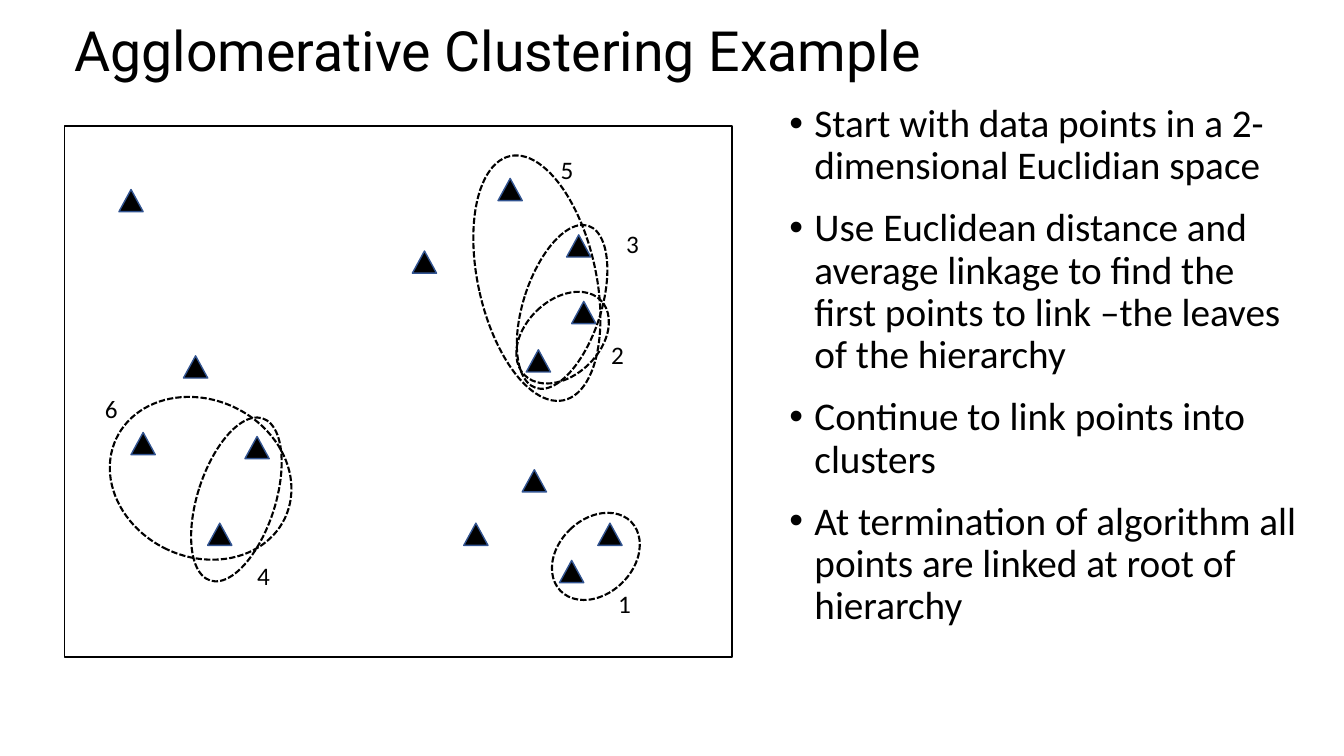
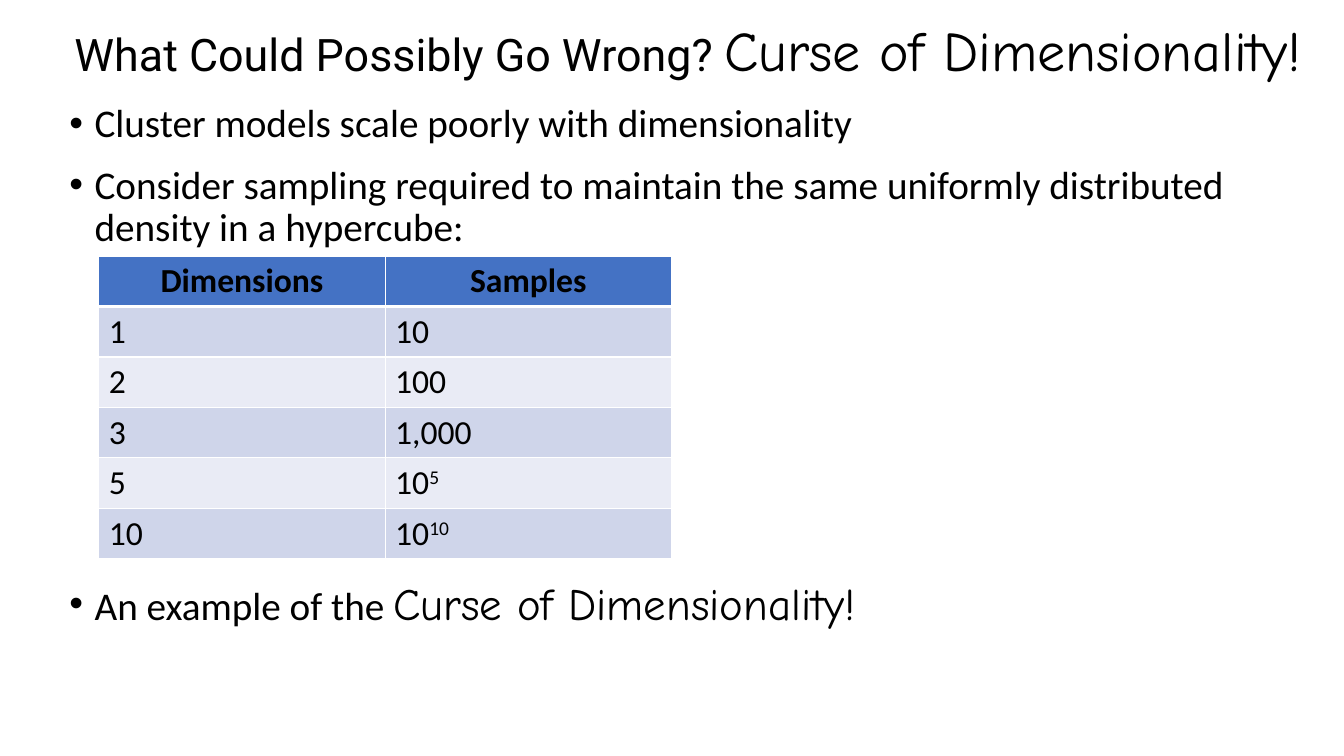
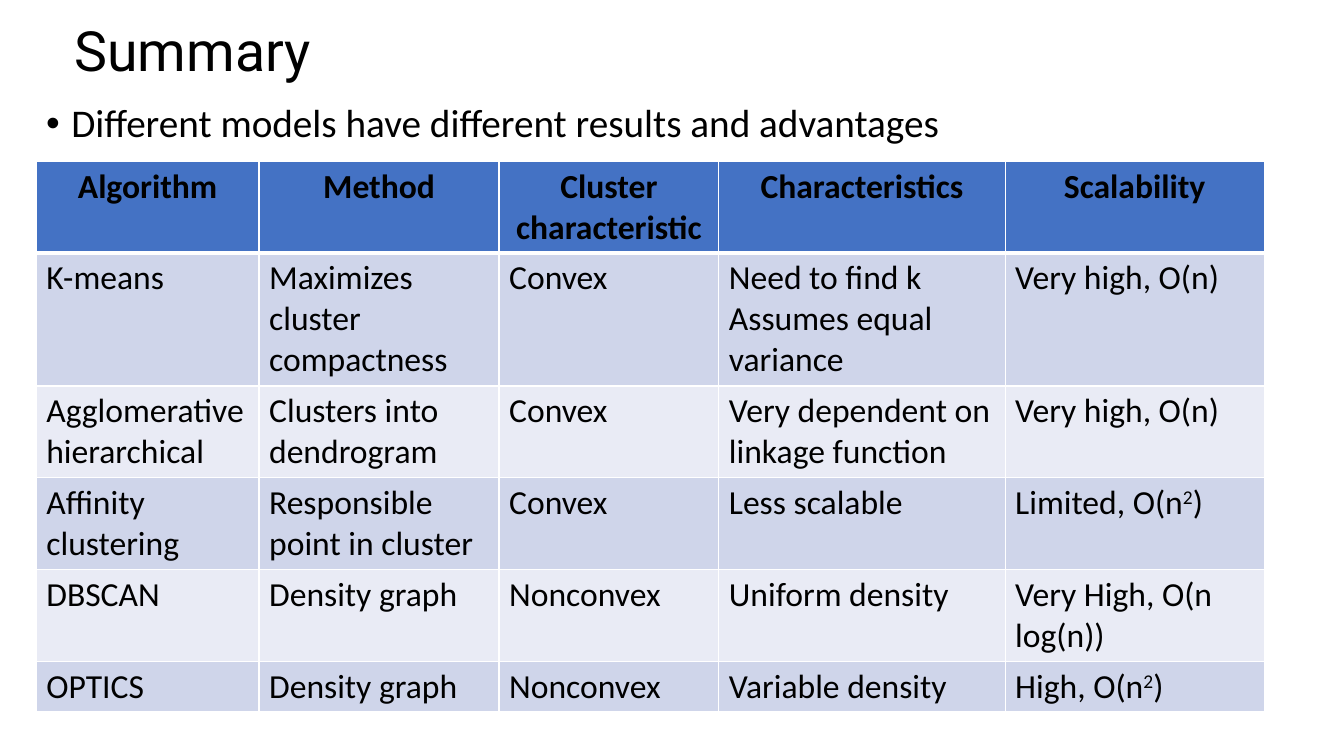
from lxml.etree import SubElement
from pptx import Presentation
from pptx.dml.color import RGBColor
from pptx.enum.dml import MSO_LINE
from pptx.enum.shapes import MSO_SHAPE
from pptx.enum.text import MSO_ANCHOR, PP_ALIGN
from pptx.oxml import parse_xml
from pptx.oxml.ns import nsdecls, qn
from pptx.util import Inches, Pt

BLACK = RGBColor(0x00, 0x00, 0x00)
MARKER_EDGE = RGBColor(0x32, 0x54, 0x91)
HEADER_BLUE = RGBColor(0x44, 0x72, 0xC4)
BAND_DARK = RGBColor(0xCF, 0xD5, 0xEA)
BAND_LIGHT = RGBColor(0xE9, 0xEB, 0xF5)

TITLE_FONT = "Roboto"
BODY_FONT = "Calibri"
ACCENT_FONT = "Comic Neue"
TITLE_SIZE = 39.6
BODY_SIZE = 28
TABLE_SIZE = 24


def add_run(paragraph, text, size, font_name=BODY_FONT, bold=False, superscript=False):
    run = paragraph.add_run()
    run.text = text
    run.font.name = font_name
    run.font.size = Pt(size)
    run.font.bold = bold
    run.font.color.rgb = BLACK
    if superscript:
        run.font._element.set("baseline", "30000")


def add_banded_table(slide, left, top, column_widths, line_counts, rows):
    """Add a table; a newline starts a paragraph, text between carets is raised."""
    row_heights = [0.1 + 0.41 * lines for lines in line_counts]
    table = slide.shapes.add_table(
        len(rows), len(column_widths), Inches(left), Inches(top),
        Inches(sum(column_widths)), Inches(sum(row_heights))).table
    for column, width in zip(table.columns, column_widths):
        column.width = Inches(width)
    for row_index, values in enumerate(rows):
        is_header = row_index == 0
        # The frame is slightly taller than the text, which sets the final height.
        table.rows[row_index].height = Inches(row_heights[row_index] - 0.01)
        for column_index, value in enumerate(values):
            cell = table.cell(row_index, column_index)
            cell.fill.solid()
            band = BAND_DARK if row_index % 2 else BAND_LIGHT
            cell.fill.fore_color.rgb = HEADER_BLUE if is_header else band

            properties = cell._tc.get_or_add_tcPr()
            for position, side in enumerate(("lnL", "lnR", "lnT", "lnB")):
                thick = (is_header and side == "lnB") or (row_index == 1 and side == "lnT")
                properties.insert(position, parse_xml(
                    f'<a:{side} {nsdecls("a")} w="{Pt(3 if thick else 1)}"><a:solidFill>'
                    f'<a:srgbClr val="FFFFFF"/></a:solidFill></a:{side}>'))

            for line_index, line in enumerate(value.split("\n")):
                frame = cell.text_frame
                paragraph = frame.add_paragraph() if line_index else frame.paragraphs[0]
                paragraph.alignment = PP_ALIGN.CENTER if is_header else PP_ALIGN.LEFT
                for part_index, part in enumerate(line.split("^")):
                    if part:
                        add_run(paragraph, part, TABLE_SIZE, bold=is_header,
                                superscript=part_index % 2 == 1)


presentation = Presentation()
presentation.slide_width = Inches(13.33)
presentation.slide_height = Inches(7.5)

# Each slide: title width, title runs, then bullet boxes (left, top, width, height, bullets).
# A run is (text, size, font).
slide_texts = [
    (11.5, [("Agglomerative Clustering Example", TITLE_SIZE, TITLE_FONT)], [
        (7.73, 0.98, 5.24, 6.13, [
            [("Start with data points in a 2-dimensional Euclidian space", BODY_SIZE, BODY_FONT)],
            [("Use Euclidean distance and average linkage to find the first points "
              "to link –the leaves of the hierarchy", BODY_SIZE, BODY_FONT)],
            [("Continue to link points into clusters", BODY_SIZE, BODY_FONT)],
            [("At termination of algorithm all points are linked at root of hierarchy",
              BODY_SIZE, BODY_FONT)],
        ]),
    ]),
    (12.47, [("What Could Possibly Go Wrong? ", 32, TITLE_FONT),
             ("Curse of Dimensionality!", 40, ACCENT_FONT)], [
        (0.59, 0.98, 12.38, 1.5, [
            [("Cluster models scale poorly with dimensionality", BODY_SIZE, BODY_FONT)],
            [("Consider sampling required to maintain the same uniformly distributed "
              "density in a hypercube:", BODY_SIZE, BODY_FONT)],
        ]),
        (0.59, 5.72, 12.38, 0.6, [
            [("An example of the ", BODY_SIZE, BODY_FONT),
             ("Curse of Dimensionality!", 32, ACCENT_FONT)],
        ]),
    ]),
    (11.5, [("Summary", TITLE_SIZE, TITLE_FONT)], [
        (0.36, 0.98, 12.6, 0.75, [
            [("Different models have different results and advantages", BODY_SIZE, BODY_FONT)],
        ]),
    ]),
]

slides = []
for title_width, title_runs, bullet_boxes in slide_texts:
    slide = presentation.slides.add_slide(presentation.slide_layouts[6])
    slides.append(slide)
    title = slide.shapes.add_textbox(Inches(0.64), Inches(0.24), Inches(title_width), Inches(0.58))
    title.text_frame.word_wrap = True
    title.text_frame.vertical_anchor = MSO_ANCHOR.MIDDLE
    paragraph = title.text_frame.paragraphs[0]
    paragraph.line_spacing = 0.9
    for text, size, font_name in title_runs:
        add_run(paragraph, text, size, font_name)

    for left, top, width, height, bullets in bullet_boxes:
        body = slide.shapes.add_textbox(Inches(left), Inches(top), Inches(width), Inches(height))
        body.text_frame.word_wrap = True
        for index, bullet_runs in enumerate(bullets):
            frame = body.text_frame
            paragraph = frame.add_paragraph() if index else frame.paragraphs[0]
            paragraph.line_spacing = 0.9
            paragraph.space_before = Pt(14)
            properties = paragraph._p.get_or_add_pPr()
            properties.set("marL", str(Inches(0.25)))
            properties.set("indent", str(-Inches(0.25)))
            SubElement(properties, qn("a:buFont"), typeface="Arial")
            SubElement(properties, qn("a:buChar"), char="•")
            for text, size, font_name in bullet_runs:
                add_run(paragraph, text, size, font_name)

clustering_slide, dimensionality_slide, summary_slide = slides

# Scatter of data points with numbered clusters
plot_area = clustering_slide.shapes.add_shape(
    MSO_SHAPE.RECTANGLE, Inches(0.64), Inches(1.25), Inches(6.62), Inches(5.27))
plot_area.shadow.inherit = False
plot_area.fill.background()
plot_area.line.color.rgb = BLACK
plot_area.line.width = Pt(1)

data_points = [
    (4.09, 2.49), (1.18, 1.88), (4.94, 1.77), (2.43, 4.33), (4.6, 5.19),
    (5.62, 2.33), (5.22, 3.47), (5.18, 4.66), (5.93, 5.19), (1.82, 3.53),
    (1.3, 4.29), (2.06, 5.19), (5.67, 2.99), (5.55, 5.56),
]
for left, top in data_points:
    marker = clustering_slide.shapes.add_shape(
        MSO_SHAPE.ISOSCELES_TRIANGLE, Inches(left), Inches(top), Inches(0.24), Inches(0.22))
    marker.shadow.inherit = False
    marker.fill.solid()
    marker.fill.fore_color.rgb = BLACK
    marker.line.color.rgb = MARKER_EDGE
    marker.line.width = Pt(1)

# Ellipse left, top, width, height, rotation; label left, top
clusters = [
    (5.54, 5.03, 0.74, 0.98, 45.8, 5.93, 5.79),
    (5.21, 2.82, 0.74, 1.06, 45.8, 5.86, 3.32),
    (5.19, 2.2, 0.77, 1.69, 17.9, 6.01, 2.22),
    (1.96, 4.11, 0.77, 1.69, 17.9, 2.35, 5.51),
    (4.74, 1.52, 1.17, 2.48, 347.6, 5.36, 1.48),
    (1.21, 3.82, 1.56, 1.85, 295, 0.84, 3.85),
]
for number, (left, top, width, height, rotation, label_left, label_top) in enumerate(clusters, 1):
    ellipse = clustering_slide.shapes.add_shape(
        MSO_SHAPE.OVAL, Inches(left), Inches(top), Inches(width), Inches(height))
    ellipse.rotation = rotation
    ellipse.shadow.inherit = False
    ellipse.fill.background()
    ellipse.line.color.rgb = BLACK
    ellipse.line.width = Pt(1.5)
    ellipse.line.dash_style = MSO_LINE.SQUARE_DOT
    label = clustering_slide.shapes.add_textbox(
        Inches(label_left), Inches(label_top), Inches(0.53), Inches(0.4))
    label.text_frame.word_wrap = True
    paragraph = label.text_frame.paragraphs[0]
    paragraph.alignment = PP_ALIGN.CENTER
    add_run(paragraph, str(number), 18)

add_banded_table(dimensionality_slide, 0.98, 2.54, [2.84, 2.84], [1] * 6, [
    ["Dimensions", "Samples"],
    ["1", "10"],
    ["2", "100"],
    ["3", "1,000"],
    ["5", "10^5^"],
    ["10", "10^10^"],
])

add_banded_table(summary_slide, 0.36, 1.6, [2.21, 2.38, 2.18, 2.84, 2.57], [2, 3, 2, 2, 2, 1], [
    ["Algorithm", "Method", "Cluster characteristic", "Characteristics", "Scalability"],
    ["K-means", "Maximizes cluster compactness", "Convex",
     "Need to find k\nAssumes equal variance", "Very high, O(n)"],
    ["Agglomerative hierarchical", "Clusters into dendrogram", "Convex",
     "Very dependent on linkage function", "Very high, O(n)"],
    ["Affinity clustering", "Responsible point in cluster", "Convex",
     "Less scalable", "Limited, O(n^2^)"],
    ["DBSCAN", "Density graph", "Nonconvex", "Uniform density", "Very High, O(n log(n))"],
    ["OPTICS", "Density graph", "Nonconvex", "Variable density", "High, O(n^2^)"],
])

presentation.save("out.pptx")
